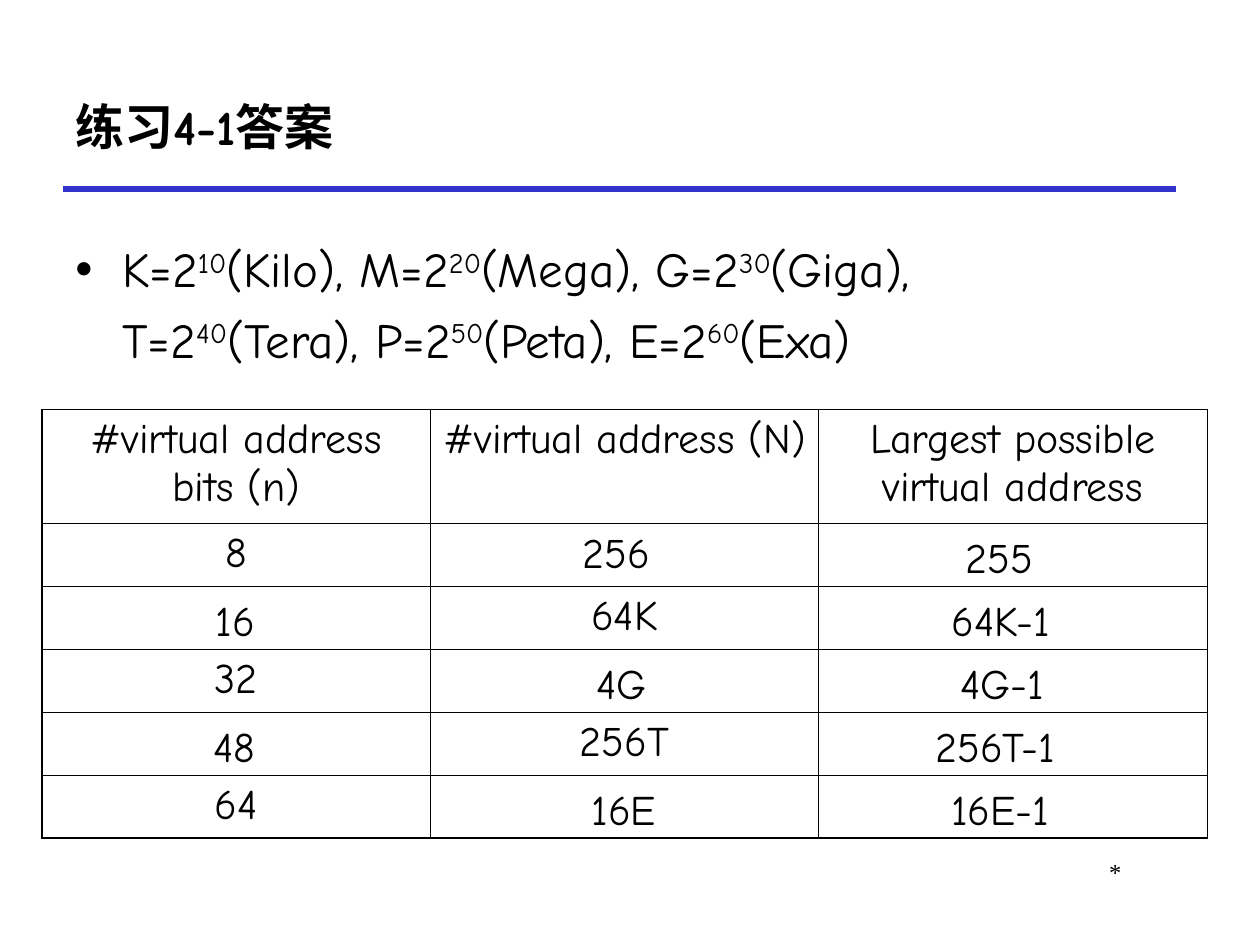
from collections import namedtuple
from lxml.etree import SubElement
from pptx import Presentation
from pptx.dml.color import RGBColor as Rgb
from pptx.enum.shapes import MSO_CONNECTOR as Connector
from pptx.enum.text import MSO_ANCHOR as Anchor, MSO_AUTO_SIZE as Fit, PP_ALIGN as Align
from pptx.oxml.ns import qn
from pptx.util import Pt

Theme = namedtuple("Theme", "font footer_font ink rule heading body table footer thick thin")
THEME = Theme("Comic Neue", "Times New Roman", Rgb(0, 0, 0), Rgb(0x33, 0x33, 0xCC),
              28, 28, 24, 14, 1.08, 0.45)
PX = 914400 / 126

TITLE = "练习4-1答案"
PREFIXES = [("K", 10, "Kilo"), ("M", 20, "Mega"), ("G", 30, "Giga"),
            ("T", 40, "Tera"), ("P", 50, "Peta"), ("E", 60, "Exa")]
ADDRESS_ROWS = [
    ("#virtual address bits (n)", "#virtual address (N)", "Largest possible virtual address"),
    ("8", "", ""),
    ("", "64K", ""),
    ("32", "", ""),
    ("", "256T", ""),
    ("64", "", ""),
]
ANSWERS = [
    ("256", 570, 520, 95), ("255", 953, 525, 95),
    ("16", 203, 588, 67), ("64K-1", 939, 588, 128),
    ("4G", 584, 651, 79), ("4G-1", 948, 651, 111),
    ("48", 201, 714, 70), ("256T-1", 923, 714, 150),
    ("16E", 579, 777, 92), ("16E-1", 939, 777, 126),
]
TABLE_LEFT, TABLE_TOP, TABLE_WIDTH = 42, 409, 1165
HEADER_HEIGHT, ROW_HEIGHT = 114, 63


def emu(*lengths):
    return [round(length * PX) for length in lengths]


def style(font, size, name=THEME.font, bold=False):
    font.name, font.size, font.bold = name, Pt(size), bold
    font.color.rgb = THEME.ink


def add_text(slide, box, text, size, name=THEME.font, bold=False, wrap=True):
    frame = slide.shapes.add_textbox(*emu(*box)).text_frame
    frame.word_wrap = wrap
    frame.auto_size = Fit.NONE if wrap else Fit.SHAPE_TO_FIT_TEXT
    frame.text = text
    for run in frame.paragraphs[0].runs:
        style(run.font, size, name, bold)
    return frame


def add_title_rule(slide):
    rule = slide.shapes.add_connector(Connector.STRAIGHT, *emu(63, 189, 1176, 189))
    rule.line.color.rgb = THEME.rule
    rule.line.width = Pt(3)
    SubElement(rule._element.spPr, qn("a:effectLst"))


def add_prefixes(slide):
    paragraph = add_text(slide, (63, 221, 1040, 158), "", THEME.body).paragraphs[0]
    paragraph.line_spacing = 1.2
    properties = paragraph._p.get_or_add_pPr()
    indent = emu(47)[0]
    properties.set("marL", str(indent))
    properties.set("indent", str(-indent))
    SubElement(properties, qn("a:buFont"), typeface="Arial")
    SubElement(properties, qn("a:buChar"), char="•")
    lead = ""
    for letter, power, word in PREFIXES:
        for text, raised in ((f"{lead}{letter}=2", False), (str(power), True)):
            run = paragraph.add_run()
            run.text = text
            style(run.font, THEME.body)
            if raised:
                run._r.get_or_add_rPr().set("baseline", "30000")
        lead = f"({word}), "
    closing = paragraph.add_run()
    closing.text = lead.rstrip(", ")
    style(closing.font, THEME.body)


def add_borders(cell, edges):
    properties = cell._tc.get_or_add_tcPr()
    for side, thick in edges.items():
        width = Pt(THEME.thick if thick else THEME.thin)
        border = SubElement(properties, qn(f"a:ln{side}"), w=str(width))
        fill = SubElement(border, qn("a:solidFill"))
        SubElement(fill, qn("a:srgbClr"), val=str(THEME.ink))


def add_address_table(slide):
    row_count, column_count = len(ADDRESS_ROWS), len(ADDRESS_ROWS[0])
    heights = [HEADER_HEIGHT] + [ROW_HEIGHT] * (row_count - 1)
    box = emu(TABLE_LEFT, TABLE_TOP, TABLE_WIDTH, sum(heights))
    table = slide.shapes.add_table(row_count, column_count, *box).table
    table.first_row = table.horz_banding = False
    for r, (texts, height) in enumerate(zip(ADDRESS_ROWS, heights)):
        table.rows[r].height = emu(height)[0]
        for c, text in enumerate(texts):
            cell = table.cell(r, c)
            cell.text = text
            paragraph = cell.text_frame.paragraphs[0]
            paragraph.alignment = Align.CENTER
            for run in paragraph.runs:
                style(run.font, THEME.table)
            add_borders(cell, {"L": c == 0, "R": False,
                               "T": False, "B": r == row_count - 1})
            cell.fill.background()


def main():
    deck = Presentation()
    deck.slide_width, deck.slide_height = emu(1260, 945)
    slide = deck.slides.add_slide(deck.slide_layouts[6])
    add_title_rule(slide)
    footer = add_text(slide, (955, 851, 179, 63), "*", THEME.footer, THEME.footer_font)
    footer.paragraphs[0].alignment = Align.RIGHT
    title = add_text(slide, (63, 63, 1113, 126), TITLE, THEME.heading, bold=True)
    title.vertical_anchor = Anchor.MIDDLE
    add_prefixes(slide)
    add_address_table(slide)
    for text, left, top, width in ANSWERS:
        add_text(slide, (left, top, width, ROW_HEIGHT), text, THEME.table, wrap=False)
    deck.save("out.pptx")


if __name__ == "__main__":
    main()
